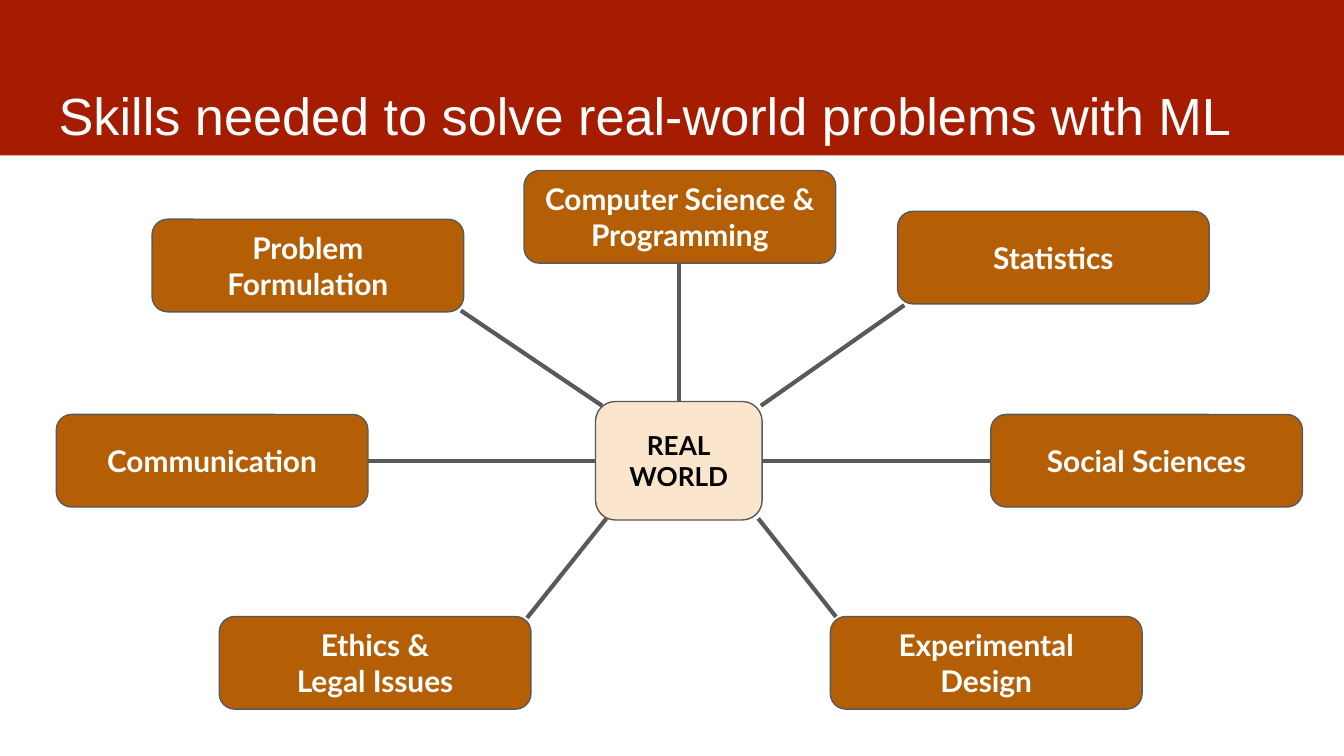
from typing import NamedTuple

import pptx
import pptx.dml.color
import pptx.enum.shapes
import pptx.enum.text
import pptx.oxml
import pptx.util
from pptx.util import Cm

COLORS = {
    "banner": "A61C00",
    "skill": "B45F06",
    "hub": "FCE5CD",
    "outline": "595959",
    "light": "FFFFFF",
    "dark": "000000",
}
SHAPES = pptx.enum.shapes.MSO_SHAPE
ALIGN = pptx.enum.text.PP_ALIGN
ANCHOR = pptx.enum.text.MSO_ANCHOR


class Point(NamedTuple):
    x: float
    y: float


class Skill(NamedTuple):
    label: str
    center: Point
    spoke_start: Point
    spoke_end: Point


SKILL_SIZE = (5.89, 1.75)
HUB_SIZE = (3.15, 2.24)
HUB = Point(12.83, 8.71)

# Centres and spoke ends in centimetres, clockwise from the top.
SKILLS = [
    Skill("Computer Science &\nProgramming", Point(12.85, 4.1),
          Point(HUB.x, 4.98), Point(HUB.x, 7.59)),
    Skill("Statistics", Point(19.91, 4.87), Point(17.09, 5.77), Point(14.38, 7.67)),
    Skill("Social Sciences", Point(21.67, HUB.y),
          Point(18.72, HUB.y), Point(14.4, HUB.y)),
    Skill("Experimental\nDesign", Point(18.64, 12.53),
          Point(15.8, 11.66), Point(14.33, 9.8)),
    Skill("Ethics &\nLegal Issues", Point(7.09, 12.53),
          Point(9.96, 11.68), Point(11.46, 9.8)),
    Skill("Communication", Point(4.01, HUB.y),
          Point(6.96, HUB.y), Point(11.25, HUB.y)),
    Skill("Problem\nFormulation", Point(5.82, 5.02),
          Point(8.71, 5.87), Point(11.38, 7.67)),
]


def rgb(name: str) -> pptx.dml.color.RGBColor:
    return pptx.dml.color.RGBColor.from_string(COLORS[name])


def write_text(shape, text: str, *, size: float, color: str, font: str = "Lato",
               bold: bool = True, align=ALIGN.CENTER, anchor=ANCHOR.MIDDLE,
               top_inset: float = 0.25) -> None:
    """Fill the shape with one paragraph per line of text."""
    frame = shape.text_frame
    frame.word_wrap = True
    frame.vertical_anchor = anchor
    frame.margin_left = frame.margin_right = frame.margin_bottom = Cm(0.25)
    frame.margin_top = Cm(top_inset)
    frame.text = text
    for paragraph in frame.paragraphs:
        paragraph.alignment = align
        for run in paragraph.runs:
            run.font.name = font
            run.font.size = pptx.util.Pt(size)
            run.font.bold = bold
            run.font.color.rgb = rgb(color)


def add_banner(slide, title: str) -> None:
    banner = slide.shapes.add_shape(
        SHAPES.RECTANGLE, Cm(-0.03), Cm(-0.08), Cm(25.45), Cm(3.02))
    banner.shadow.inherit = False
    banner.fill.solid()
    banner.fill.fore_color.rgb = rgb("banner")
    banner.line.fill.background()
    heading = slide.shapes.add_textbox(Cm(0.86), Cm(1.24), Cm(23.67), Cm(1.6))
    write_text(heading, title, size=28, color="light", font="Arial", bold=False,
               align=ALIGN.LEFT, anchor=ANCHOR.TOP, top_inset=0.33)


def add_node(slide, label: str, center: Point, node_size: tuple[float, float],
             *, fill: str, text_color: str, text_size: float) -> None:
    width, height = node_size
    node = slide.shapes.add_shape(
        SHAPES.ROUNDED_RECTANGLE, Cm(center.x - width / 2),
        Cm(center.y - height / 2), Cm(width), Cm(height))
    node.shadow.inherit = False
    node.fill.solid()
    node.fill.fore_color.rgb = rgb(fill)
    node.line.color.rgb = rgb("outline")
    node.line.width = pptx.util.Pt(0.75)
    write_text(node, label, size=text_size, color=text_color)


def add_spoke(slide, start: Point, end: Point) -> None:
    spoke = slide.shapes.add_connector(
        pptx.enum.shapes.MSO_CONNECTOR.STRAIGHT,
        Cm(start.x), Cm(start.y), Cm(end.x), Cm(end.y))
    spoke.line.color.rgb = rgb("outline")
    spoke.line.width = pptx.util.Pt(2.25)
    properties = spoke.element.spPr
    properties.append(properties.makeelement(pptx.oxml.ns.qn("a:effectLst"), {}))


def main() -> None:
    deck = pptx.Presentation()
    deck.slide_width, deck.slide_height = Cm(25.4), Cm(14.29)
    slide = deck.slides.add_slide(deck.slide_layouts[6])

    add_banner(slide, "Skills needed to solve real-world problems with ML")
    add_node(slide, "REAL\nWORLD", HUB, HUB_SIZE,
             fill="hub", text_color="dark", text_size=14)
    for skill in SKILLS:
        add_node(slide, skill.label, skill.center, SKILL_SIZE,
                 fill="skill", text_color="light", text_size=16)
    for skill in SKILLS:
        add_spoke(slide, skill.spoke_start, skill.spoke_end)

    deck.save("out.pptx")


if __name__ == "__main__":
    main()
